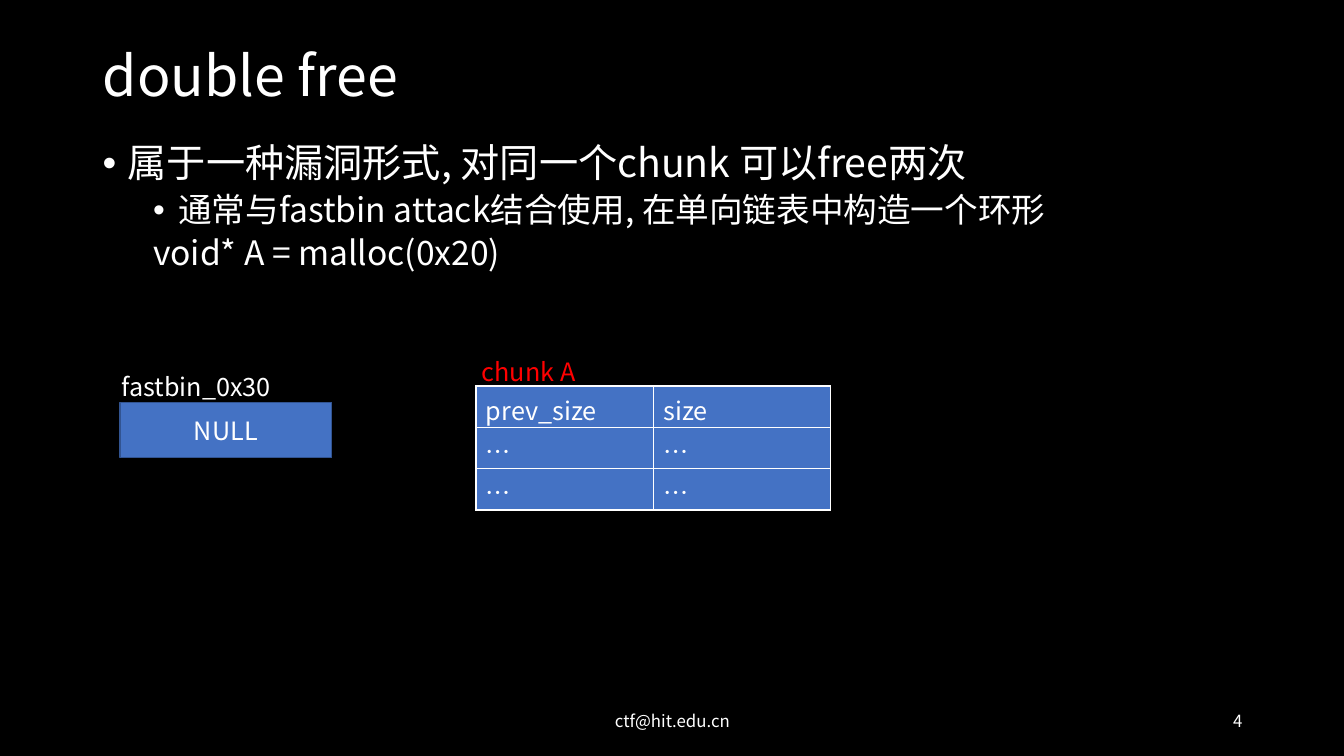
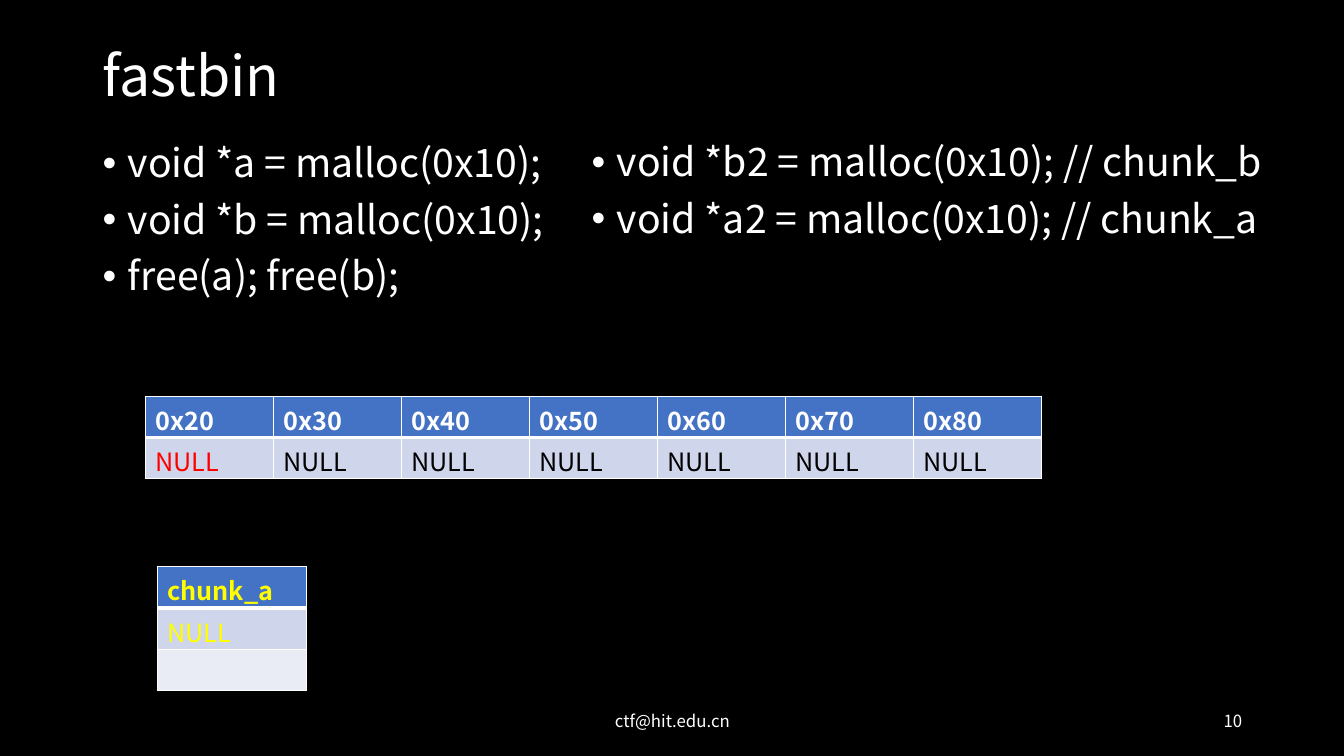
"""Build two slides on heap fastbins and double free."""
from lxml.etree import SubElement
from pptx import Presentation
from pptx.dml.color import RGBColor
from pptx.enum.shapes import MSO_SHAPE
from pptx.enum.text import MSO_ANCHOR as Anchor, PP_ALIGN as Align
from pptx.oxml.ns import qn
from pptx.util import Inches, Pt

FONT = "Noto Sans CJK SC"
COLOURS = {
    "black": "000000", "white": "FFFFFF", "red": "FF0000", "yellow": "FFFF00",
    "blue": "4472C4", "outline": "325491", "band": "CFD5EA", "pale": "E9EBF5",
}
RGB = {name: RGBColor.from_string(value) for name, value in COLOURS.items()}
STYLES = {
    "title": {"font": {"size": Pt(39.6)}, "paragraph": {"line_spacing": 0.9}},
    "bullet": {"font": {"size": Pt(28)}, "indent": (0.25, -0.25), "bullet": True,
               "paragraph": {"line_spacing": 0.9, "space_before": Pt(10)}},
    "sub_bullet": {"font": {"size": Pt(24)}, "indent": (0.75, -0.25), "bullet": True,
                   "paragraph": {"line_spacing": 0.9, "space_before": Pt(5), "level": 1}},
    "sub_plain": {"font": {"size": Pt(24)}, "indent": (0.5, 0),
                  "paragraph": {"line_spacing": 0.9, "space_before": Pt(5), "level": 1}},
    "label": {"font": {"size": Pt(18)}},
    "header": {"font": {"size": Pt(18), "bold": True}},
    "centred": {"font": {"size": Pt(18)}, "paragraph": {"alignment": Align.CENTER}},
    "footer": {"font": {"size": Pt(12)}, "paragraph": {"alignment": Align.CENTER}},
    "number": {"font": {"size": Pt(12)}, "paragraph": {"alignment": Align.RIGHT}},
}
ROW_HEIGHT = 0.41


def write(text_frame, lines, colour="white", anchor=Anchor.TOP):
    text_frame.word_wrap = True
    text_frame.vertical_anchor = anchor
    for index, (text, style_name) in enumerate(lines):
        style = STYLES[style_name]
        paragraph = text_frame.add_paragraph() if index else text_frame.paragraphs[0]
        properties = paragraph._p.get_or_add_pPr()
        if "indent" in style:
            margin, indent = style["indent"]
            properties.set("marL", str(Inches(margin)))
            properties.set("indent", str(Inches(indent)))
        if "bullet" in style:
            SubElement(properties, qn("a:buFont"), typeface="Arial")
            SubElement(properties, qn("a:buChar"), char="•")
        for name, value in style.get("paragraph", {}).items():
            if index or name != "space_before":
                setattr(paragraph, name, value)
        run = paragraph.add_run()
        run.text = text
        for name, value in {"name": FONT, **style["font"]}.items():
            setattr(run.font, name, value)
        run.font.color.rgb = RGB[colour]
        SubElement(run._r.get_or_add_rPr(), qn("a:ea"), typeface=FONT)


def add_table(slide, left, top, column_width, rows, header_line=1):
    column_count = len(rows[0][2])
    table = slide.shapes.add_table(
        len(rows), column_count, Inches(left), Inches(top),
        Inches(column_width * column_count), Inches(ROW_HEIGHT * len(rows))).table
    for column in table.columns:
        column.width = Inches(column_width)
    for row_index, (fill, style, texts) in enumerate(rows):
        table.rows[row_index].height = Inches(ROW_HEIGHT)
        for column_index, (text, colour) in enumerate(texts):
            cell = table.cell(row_index, column_index)
            properties = cell._tc.get_or_add_tcPr()
            widths = {"L": 1, "R": 1, "T": header_line if row_index == 1 else 1,
                      "B": header_line if row_index == 0 else 1}
            for side, width in widths.items():
                line = SubElement(properties, qn(f"a:ln{side}"), w=str(Pt(width)))
                SubElement(SubElement(line, qn("a:solidFill")), qn("a:srgbClr"),
                           val=COLOURS["white"])
            cell.fill.solid()
            cell.fill.fore_color.rgb = RGB[fill]
            if text:
                write(cell.text_frame, [(text, style)], colour)


presentation = Presentation()
presentation.slide_width = Inches(13.33)
presentation.slide_height = Inches(7.5)
background = presentation.slide_master.background.fill
background.solid()
background.fore_color.rgb = RGB["black"]

slides = []
for title, number in (("double free", "4"), ("fastbin", "10")):
    slide = presentation.slides.add_slide(presentation.slide_layouts[6])
    slides.append(slide)
    for box, text, style in (
        ((0.92, 0.4, 11.5, 0.75), title, "title"),
        ((4.42, 6.95, 4.5, 0.4), "ctf@hit.edu.cn", "footer"),
        ((9.42, 6.95, 3, 0.4), number, "number"),
    ):
        shape = slide.shapes.add_textbox(*map(Inches, box))
        write(shape.text_frame, [(text, style)], anchor=Anchor.MIDDLE)
double_free, fastbin = slides

for slide, box, colour, lines in (
    (double_free, (0.92, 1.38, 11.5, 5.37), "white", [
        ("属于一种漏洞形式, 对同一个chunk 可以free两次", "bullet"),
        ("通常与fastbin attack结合使用, 在单向链表中构造一个环形", "sub_bullet"),
        ("void* A = malloc(0x20)", "sub_plain")]),
    (double_free, (4.68, 3.49, 1.81, 0.4), "red", [("chunk A", "label")]),
    (double_free, (1.11, 3.63, 1.81, 0.4), "white", [("fastbin_0x30", "label")]),
    (fastbin, (0.92, 1.38, 4.63, 1.78), "white", [
        ("void *a = malloc(0x10);", "bullet"),
        ("void *b = malloc(0x10);", "bullet"),
        ("free(a); free(b);", "bullet")]),
    (fastbin, (5.77, 1.37, 6.95, 1.78), "white", [
        ("void *b2 = malloc(0x10); // chunk_b", "bullet"),
        ("void *a2 = malloc(0x10); // chunk_a", "bullet")]),
):
    shape = slide.shapes.add_textbox(*map(Inches, box))
    write(shape.text_frame, lines, colour)

bin_head = double_free.shapes.add_shape(
    MSO_SHAPE.RECTANGLE, Inches(1.19), Inches(3.99), Inches(2.1), Inches(0.55))
bin_head.shadow.inherit = False
bin_head.fill.solid()
bin_head.fill.fore_color.rgb = RGB["blue"]
bin_head.line.color.rgb = RGB["outline"]
bin_head.line.width = Pt(1)
write(bin_head.text_frame, [("NULL", "centred")], anchor=Anchor.MIDDLE)

add_table(double_free, 4.72, 3.83, 1.76, [
    ("blue", "label", [(text, "white") for text in texts])
    for texts in (("prev_size", "size"), ("…", "…"), ("…", "…"))])

add_table(fastbin, 1.44, 3.93, 1.27, [
    ("blue", "header", [(f"0x{size}", "white") for size in range(20, 90, 10)]),
    ("band", "label", [("NULL", "red")] + [("NULL", "black")] * 6),
], header_line=3)

add_table(fastbin, 1.56, 5.62, 1.48, [
    ("blue", "header", [("chunk_a", "yellow")]),
    ("band", "label", [("NULL", "yellow")]),
    ("pale", "label", [("", "black")]),
], header_line=3)

presentation.save("out.pptx")
